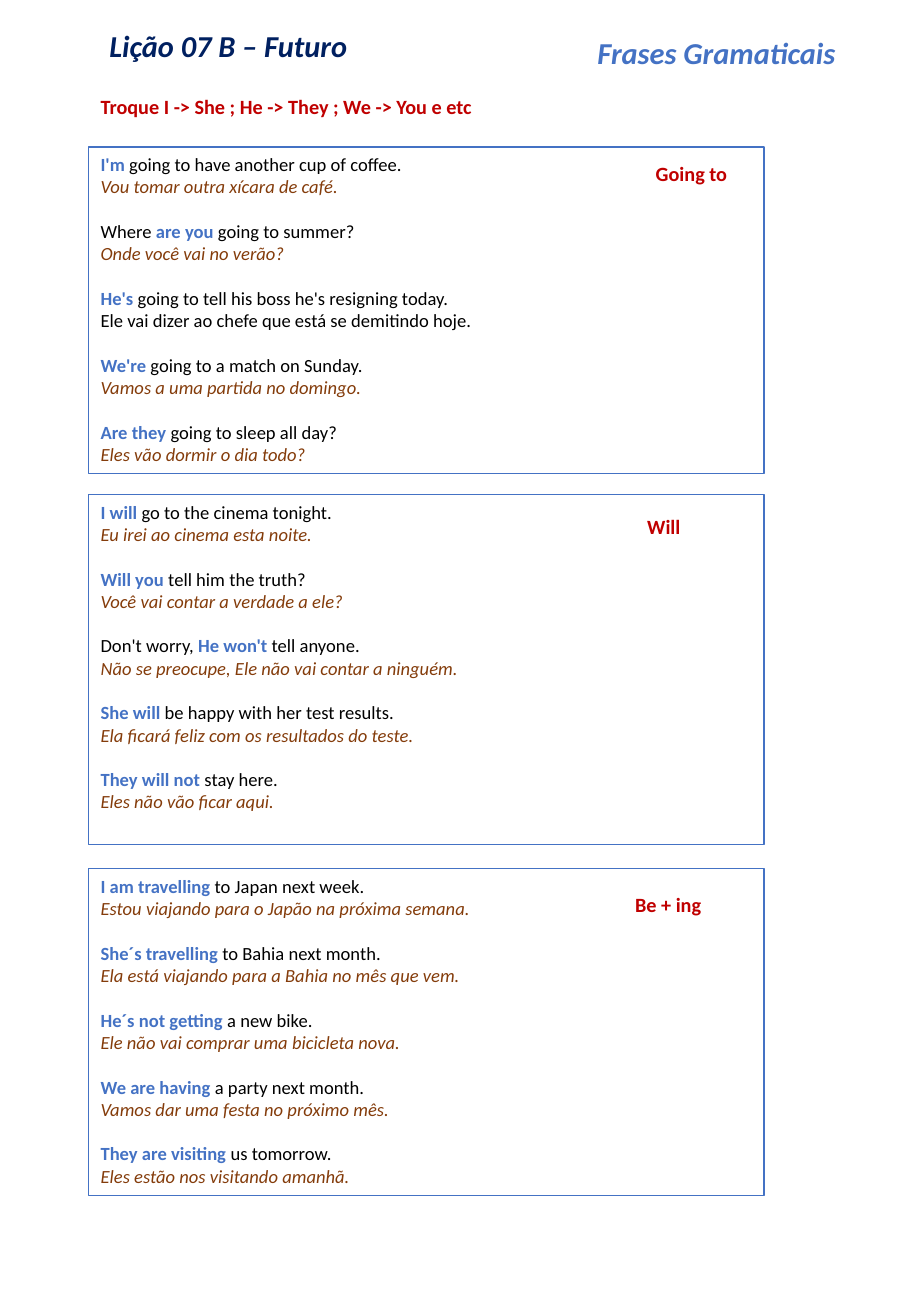
from pptx import Presentation
from pptx.enum.shapes import MSO_SHAPE
from pptx.enum.text import MSO_ANCHOR, PP_ALIGN
from pptx.dml.color import RGBColor
from pptx.util import Inches, Pt

RECT = MSO_SHAPE.RECTANGLE
TOP = MSO_ANCHOR.TOP
LEFT, CENTER = PP_ALIGN.LEFT, PP_ALIGN.CENTER
COLS, ROWS = 750, 1083
WIDTH, HEIGHT = Inches(7.5), Inches(10.83)
COLORS = {"navy": "002060", "blue": "4472C4", "red": "C00000",
          "brown": "843C0B", "black": "000000"}
FORMATS = {
    "title": {"size": Pt(18), "bold": True, "italic": True},
    "label": {"size": Pt(12), "bold": True, "italic": False},
    "key": {"size": Pt(11), "bold": True, "italic": False},
    "plain": {"size": Pt(11), "bold": False, "italic": False},
    "translation": {"size": Pt(11), "bold": False, "italic": True},
}
INKS = {"key": "blue", "plain": "black", "translation": "brown"}

GOING_TO = [
    ("*I'm* going to have another cup of coffee.",
     "Vou tomar outra xícara de café.", "translation"),
    ("Where *are you* going to summer?",
     "Onde você vai no verão?", "translation"),
    ("*He's* going to tell his boss he's resigning today.",
     "Ele vai dizer ao chefe que está se demitindo hoje.", "plain"),
    ("*We're* going to a match on Sunday.",
     "Vamos a uma partida no domingo.", "translation"),
    ("*Are they* going to sleep all day?",
     "Eles vão dormir o dia todo?", "translation"),
]
WILL = [
    ("*I will* go to the cinema tonight.",
     "Eu irei ao cinema esta noite.", "translation"),
    ("*Will you* tell him the truth?",
     "Você vai contar a verdade a ele?", "translation"),
    ("Don't worry, *He won't* tell anyone.",
     "Não se preocupe, Ele não vai contar a ninguém.", "translation"),
    ("*She will* be happy with her test results.",
     "Ela ficará feliz com os resultados do teste.", "translation"),
    ("*They will not* stay here.",
     "Eles não vão ficar aqui.", "translation"),
]
BE_ING = [
    ("*I am travelling* to Japan next week.",
     "Estou viajando para o Japão na próxima semana.", "translation"),
    ("*She´s travelling* to Bahia next month.",
     "Ela está viajando para a Bahia no mês que vem.", "translation"),
    ("*He´s not getting* a new bike.",
     "Ele não vai comprar uma bicicleta nova.", "translation"),
    ("*We are having* a party next month.",
     "Vamos dar uma festa no próximo mês.", "translation"),
    ("*They are visiting* us tomorrow.",
     "Eles estão nos visitando amanhã.", "translation"),
]


def place(x, y, w, h):
    """Turn grid columns and rows into slide lengths."""
    return (int(WIDTH * x / COLS), int(HEIGHT * y / ROWS),
            int(WIDTH * w / COLS), int(HEIGHT * h / ROWS))


def add_run(p, text, style, color):
    """Append a run with a named format and colour."""
    r = p.add_run()
    r.text = text
    r.font.name = "Calibri"
    r.font.color.rgb = RGBColor.from_string(COLORS[color])
    for name, value in FORMATS[style].items():
        setattr(r.font, name, value)


def add_text(s, box, text, style, color, align=LEFT, wrap=True):
    """Add a one-line text box."""
    tf = s.shapes.add_textbox(*place(*box)).text_frame
    tf.word_wrap = wrap
    tf.paragraphs[0].alignment = align
    add_run(tf.paragraphs[0], text, style, color)


def add_header(s, x, y):
    """Place the lesson title, the page heading and the instruction."""
    add_text(s, (x + 6, y, 218, 71), "Lição 07 B – Futuro", "title", "navy",
             CENTER, False)
    add_text(s, (x + 409, y + 6, 300, 40), "Frases Gramaticais", "title", "blue")
    add_text(s, (x, y + 56, 375, 30),
             "Troque I -> She ; He -> They ; We -> You e etc", "label", "red")


def add_panel(s, box, sentences, label, label_box):
    """Draw a framed list of translated sentences with its label."""
    sp = s.shapes.add_shape(RECT, *place(*box))
    sp.shadow.inherit = False
    sp.fill.background()
    sp.line.color.rgb = RGBColor.from_string(COLORS["blue"])
    sp.line.width = Pt(0.75)
    tf = sp.text_frame
    tf.word_wrap = True
    tf.vertical_anchor = TOP
    for i, (sentence, translation, style) in enumerate(sentences):
        p = tf.add_paragraph() if i else tf.paragraphs[0]
        p.alignment = LEFT
        if i:
            p.space_before = Pt(13.2)
        for j, part in enumerate(sentence.split("*")):
            if part:
                kind = "key" if j % 2 else "plain"
                add_run(p, part, kind, INKS[kind])
        p = tf.add_paragraph()
        p.alignment = LEFT
        add_run(p, translation, style, INKS[style])
    dx, dy, w, h = label_box
    add_text(s, (box[0] + dx, box[1] + dy, w, h), label, "label", "red")


def main():
    """Build the lesson sheet."""
    prs = Presentation()
    prs.slide_width, prs.slide_height = WIDTH, HEIGHT
    s = prs.slides.add_slide(prs.slide_layouts[6])
    left, width = 73, 556
    add_header(s, left, 17)
    add_panel(s, (left, 121, width, 269), GOING_TO, "Going to", (457, 7, 81, 30))
    add_panel(s, (left, 407, width, 288), WILL, "Will", (450, 11, 81, 30))
    add_panel(s, (left, 715, width, 269), BE_ING, "Be + ing", (440, 14, 98, 30))
    prs.save("out.pptx")


if __name__ == "__main__":
    main()
